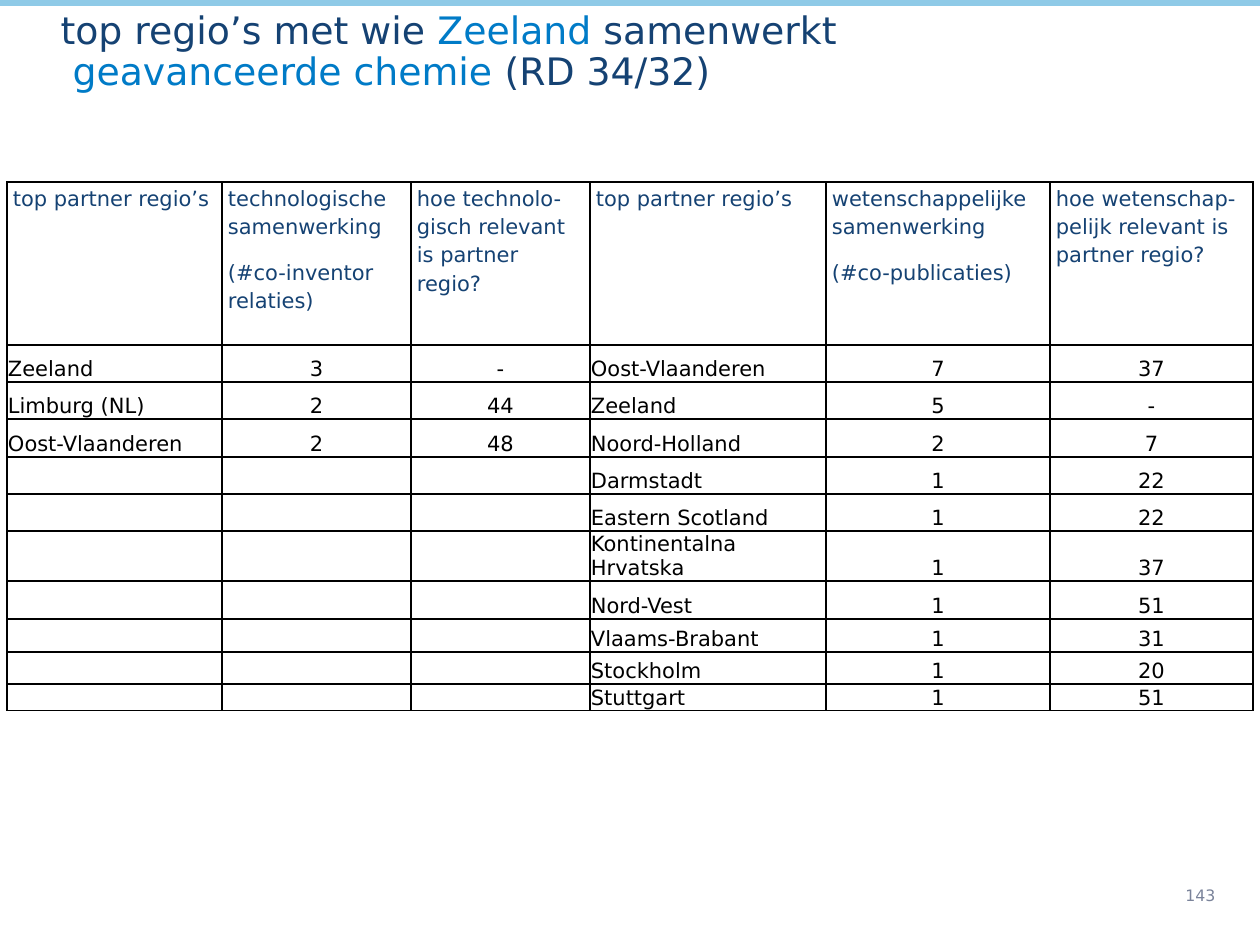
from pptx import Presentation
from pptx.dml.color import RGBColor as Rgb
from pptx.enum.shapes import MSO_SHAPE as Shape
from pptx.enum.text import MSO_ANCHOR as Anchor, MSO_AUTO_SIZE as AutoSize, PP_ALIGN as Align
from pptx.oxml import parse_xml
from pptx.oxml.ns import nsdecls, qn
from pptx.util import Emu, Pt

PX = 914400 / 126
FONT = "DejaVu Sans"
COLORS = {"navy": "154273", "blue": "007BC7", "sky": "8FCAE7",
          "grey": "7A839A", "black": "000000"}

TITLE_LINES = [
    [("top regio’s met wie ", "navy"), ("Zeeland", "blue"), (" samenwerkt", "navy")],
    [(" geavanceerde chemie ", "blue"), ("(RD 34/32)", "navy")],
]
COLUMNS = [215, 189, 179, 236, 224, 203]
ROWS = [163, 37, 37, 38, 37, 37, 38, 38, 33, 32, 26]
HEADERS = [
    ["top partner regio’s"],
    ["technologische samenwerking", "(#co-inventor relaties)"],
    ["hoe technolo-gisch relevant is partner regio?"],
    ["top partner regio’s"],
    ["wetenschappelijke samenwerking", "(#co-publicaties)"],
    ["hoe wetenschap-pelijk relevant is partner regio?"],
]
TECHNOLOGY = [("Zeeland", "3", "-"), ("Limburg (NL)", "2", "44"),
              ("Oost-Vlaanderen", "2", "48")]
SCIENCE = [("Oost-Vlaanderen", "7", "37"), ("Zeeland", "5", "-"),
           ("Noord-Holland", "2", "7"), ("Darmstadt", "1", "22"),
           ("Eastern Scotland", "1", "22"), ("Kontinentalna Hrvatska", "1", "37"),
           ("Nord-Vest", "1", "51"), ("Vlaams-Brabant", "1", "31"),
           ("Stockholm", "1", "20"), ("Stuttgart", "1", "51")]


def px(length):
    return Emu(round(length * PX))


def set_values(target, **values):
    for name, value in values.items():
        setattr(target, name, value)


def color(name):
    return Rgb.from_string(COLORS[name])


def add_span(para, text, size, shade):
    span = para.add_run()
    span.text = text
    set_values(span.font, name=FONT, size=Pt(size), bold=False)
    span.font.color.rgb = color(shade)


def add_bar(page, left, top, width, height):
    bar = page.shapes.add_shape(Shape.RECTANGLE, *map(px, (left, top, width, height)))
    bar.shadow.inherit = False
    bar.fill.solid()
    bar.fill.fore_color.rgb = color("sky")
    bar.line.color.rgb = color("sky")
    bar.line.width = Pt(0.75)


def add_title(page, left, top, width, height):
    box = page.shapes.title
    set_values(box, left=px(left), top=px(top), width=px(width), height=px(height))
    frame = box.text_frame
    set_values(frame, word_wrap=True, auto_size=AutoSize.NONE, vertical_anchor=Anchor.BOTTOM)
    styles = box.element.txBody.find(qn("a:lstStyle"))
    styles.append(parse_xml(
        f'<a:lvl1pPr {nsdecls("a")}><a:defRPr sz="2160"><a:latin typeface="{FONT}"/>'
        "</a:defRPr></a:lvl1pPr>"))
    para = frame.paragraphs[0]
    set_values(para, alignment=Align.LEFT, line_spacing=0.9)
    for line in TITLE_LINES:
        for text, shade in line:
            add_span(para, text, 21.6, shade)
        para.add_line_break()


def set_borders(cell):
    properties = cell._tc.get_or_add_tcPr()
    for position, side in enumerate(("lnL", "lnR", "lnT", "lnB")):
        properties.insert(position, parse_xml(
            f'<a:{side} {nsdecls("a")} w="12700"><a:solidFill>'
            f'<a:srgbClr val="{COLORS["black"]}"/></a:solidFill></a:{side}>'))


def fill_cell(cell, texts, header, centered):
    side = px(6 if header else 1)
    set_values(cell, margin_left=side, margin_right=side, margin_top=px(1), margin_bottom=0,
               vertical_anchor=Anchor.TOP if header else Anchor.BOTTOM)
    cell.fill.background()
    set_borders(cell)
    frame = cell.text_frame
    for index, text in enumerate(texts):
        para = frame.add_paragraph() if index else frame.paragraphs[0]
        para.alignment = Align.CENTER if centered else Align.LEFT
        if header:
            set_values(para, line_spacing=1.15, space_after=Pt(10))
        if text:
            add_span(para, text, 12, "navy" if header else "black")
        else:
            para._p.get_or_add_endParaRPr().set("sz", "1200")


def add_partner_table(page, left, top):
    box = page.shapes.add_table(len(ROWS), len(COLUMNS), px(left), px(top),
                                px(sum(COLUMNS)), px(sum(ROWS)))
    table = box.table
    set_values(table, first_row=False, horz_banding=False)
    for column, width in zip(table.columns, COLUMNS):
        column.width = px(width)
    for row, height in zip(table.rows, ROWS):
        row.height = px(height)
    blanks = [("", "", "")] * (len(SCIENCE) - len(TECHNOLOGY))
    body = [[[text] for text in technology + science]
            for technology, science in zip(TECHNOLOGY + blanks, SCIENCE)]
    for r, row in enumerate([HEADERS] + body):
        for c, texts in enumerate(row):
            fill_cell(table.cell(r, c), texts, header=r == 0, centered=r > 0 and c % 3 > 0)


def add_page_number(page, left, top, width, height):
    box = page.shapes.add_textbox(*map(px, (left, top, width, height)))
    set_values(box.text_frame, word_wrap=True, vertical_anchor=Anchor.MIDDLE)
    add_span(box.text_frame.paragraphs[0], "143", 9, "grey")


def main():
    deck = Presentation()
    set_values(deck, slide_width=px(1260), slide_height=px(945))
    page = deck.slides.add_slide(deck.slide_layouts[5])
    add_bar(page, 0, 0, 1260, 5)
    add_title(page, 48, 55, 1201, 90)
    add_partner_table(page, 7, 182)
    add_page_number(page, 1173, 869, 86, 52)
    deck.save("out.pptx")


if __name__ == "__main__":
    main()
